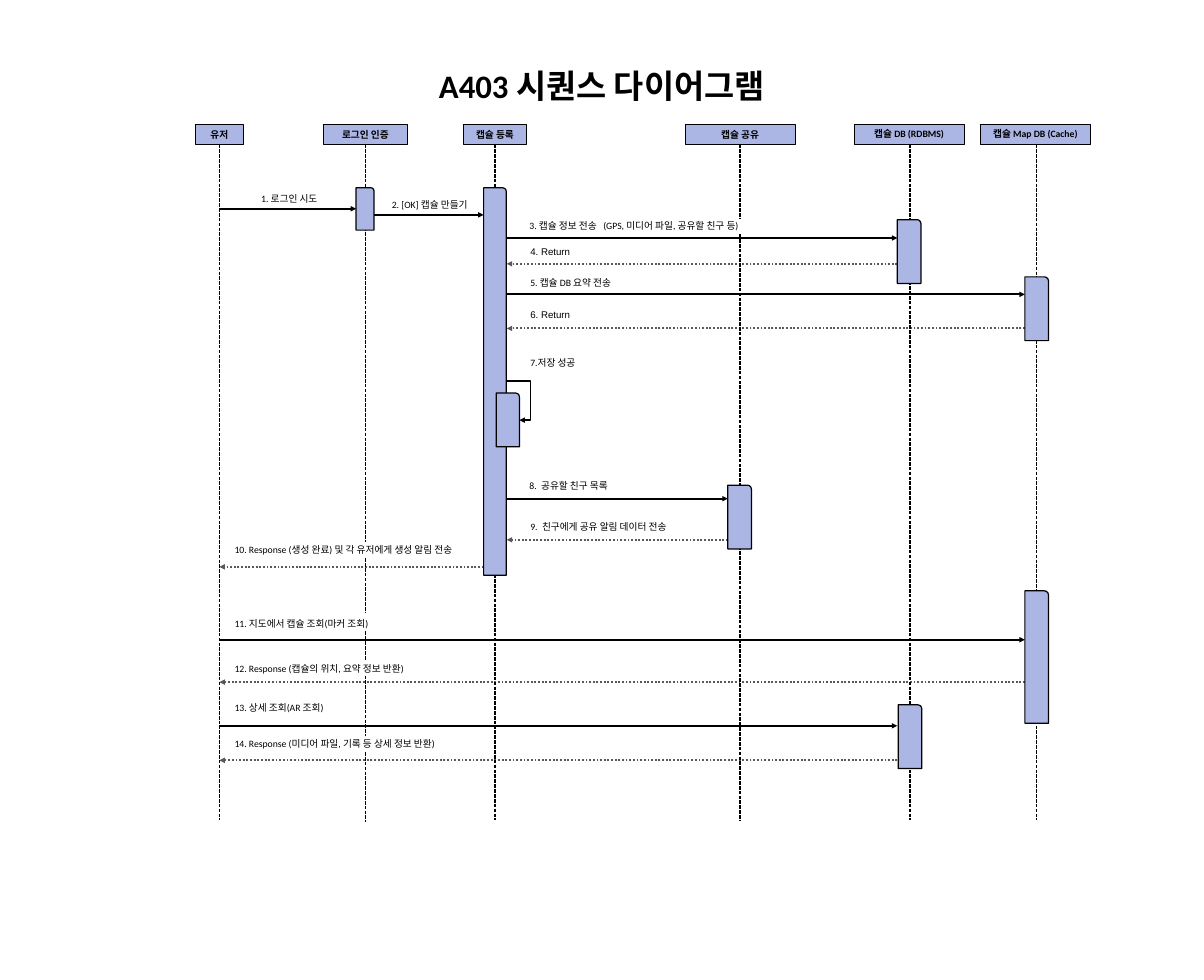
from dataclasses import dataclass

from lxml.etree import SubElement
from pptx import Presentation
from pptx.dml.color import RGBColor
from pptx.enum.dml import MSO_LINE
from pptx.enum.shapes import MSO_CONNECTOR as Link, MSO_SHAPE as Shape
from pptx.enum.text import MSO_ANCHOR as Anchor, PP_ALIGN as Align
from pptx.oxml.ns import qn
from pptx.util import Inches, Pt


@dataclass(frozen=True)
class Theme:
    ink: RGBColor = RGBColor(0, 0, 0)
    reply: RGBColor = RGBColor(0x59, 0x59, 0x59)
    fill: RGBColor = RGBColor(0xAC, 0xB6, 0xE5)
    font: str = "Calibri"
    return_font: str = "Arial"
    title_size: int = 54
    label_size: int = 16
    head_line: float = 1.25
    thin_line: float = 2
    message_line: float = 3


class SequenceDiagram:
    def __init__(self, slide, theme):
        self.slide = slide
        self.theme = theme

    def set_text(self, frame, text, size, font, bold=False, align=Align.LEFT):
        frame.word_wrap = True
        paragraph = frame.paragraphs[0]
        paragraph.text = text
        paragraph.alignment = align
        for run in paragraph.runs:
            run.font.size = Pt(size)
            run.font.name = font
            run.font.bold = bold
            run.font.color.rgb = self.theme.ink

    def text(self, text, left, top, width, height, size, font, **style):
        box = self.slide.shapes.add_textbox(
            Inches(left), Inches(top), Inches(width), Inches(height))
        self.set_text(box.text_frame, text, size, font, **style)

    def title(self, text):
        self.text(text, 6.92, 1.46, 13.71, 1.01, self.theme.title_size,
                  self.theme.font, bold=True, align=Align.CENTER)

    def label(self, text, left, top, width):
        is_return = text.endswith(". Return")
        font = self.theme.return_font if is_return else self.theme.font
        self.text(text, left, top, width, 0.37, self.theme.label_size, font)

    def block(self, kind, left, top, width, height, line_width):
        block = self.slide.shapes.add_shape(
            kind, Inches(left), Inches(top), Inches(width), Inches(height))
        block.shadow.inherit = False
        block.fill.solid()
        block.fill.fore_color.rgb = self.theme.fill
        block.line.color.rgb = self.theme.ink
        block.line.width = Pt(line_width)
        return block

    def participant(self, name, left, top, width):
        head = self.block(Shape.RECTANGLE, left, top, width, 0.46, self.theme.head_line)
        head.text_frame.vertical_anchor = Anchor.MIDDLE
        self.set_text(head.text_frame, name, self.theme.label_size, self.theme.font,
                      bold=True, align=Align.CENTER)

    def activation(self, left, top, width, height):
        self.block(Shape.ROUND_1_RECTANGLE, left, top, width, height,
                   self.theme.thin_line)

    def line(self, start, end, color, width, dash=None, arrow=False, kind=Link.STRAIGHT):
        line = self.slide.shapes.add_connector(
            kind, *(Inches(value) for value in (*start, *end)))
        line.line.color.rgb = color
        line.line.width = Pt(width)
        if dash:
            line.line.dash_style = dash
        properties = line._element.spPr
        if arrow:
            SubElement(properties.find(qn("a:ln")), qn("a:tailEnd"), type="triangle")
        SubElement(properties, qn("a:effectLst"))
        return line

    def lifeline(self, x, top, bottom):
        self.line((x, top), (x, bottom), self.theme.ink, self.theme.thin_line,
                  MSO_LINE.SQUARE_DOT)

    def message(self, start_x, end_x, y):
        """Draw a call as a solid arrow to the right, a reply as a dotted one to the left."""
        is_reply = end_x < start_x
        self.line((start_x, y), (end_x, y),
                  self.theme.reply if is_reply else self.theme.ink,
                  self.theme.message_line,
                  MSO_LINE.ROUND_DOT if is_reply else None, arrow=True)

    def self_message(self, start, end, bend):
        """Draw a call back to the same participant; bend is the turn in 1/1000 % of the width."""
        arrow = self.line(start, end, self.theme.ink, self.theme.message_line,
                          arrow=True, kind=Link.ELBOW)
        geometry = arrow._element.spPr.find(qn("a:prstGeom"))
        adjustments = geometry.find(qn("a:avLst"))
        SubElement(adjustments, qn("a:gd"), name="adj1", fmla=f"val {bend}")


HEAD_BOTTOM, LIFE_END = 3.31, 18.78
USER, LOGIN, REGISTER, SHARE, CAPSULE_DB, MAP_DB = 5.02, 8.36, 11.33, 16.94, 20.83, 23.73
LOGIN_IN, LOGIN_OUT = 8.15, 8.56
REGISTER_IN, REGISTER_OUT = 11.07, 11.6
SHARE_IN, CAPSULE_IN, MAP_IN = 16.66, 20.54, 23.46
USER_LABEL, REGISTER_LABEL = 5.27, 12.04

PARTICIPANTS = [  # name, left, top, width
    ("유저", 4.47, 2.85, 1.1),
    ("로그인 인증", 7.4, 2.85, 1.93),
    ("캡슐 등록", 10.61, 2.85, 1.44),
    ("캡슐 공유", 15.68, 2.85, 2.52),
    ("캡슐 DB (RDBMS)", 19.55, 2.84, 2.52),
    ("캡슐 Map DB (Cache)", 22.44, 2.84, 2.52),
]

MESSAGES = [  # label, label left, label top, label width, start x, end x, y
    ("1. 로그인 시도", 5.88, 4.36, 1.78, USER, LOGIN_IN, 4.78),
    ("2. [OK] 캡슐 만들기", 8.87, 4.5, 2.34, LOGIN_OUT, REGISTER_IN, 4.92),
    ("3. 캡슐 정보 전송   (GPS, 미디어 파일, 공유할 친구 등)",
     12.02, 4.99, 5.74, REGISTER_OUT, CAPSULE_IN, 5.45),
    ("4. Return", REGISTER_LABEL, 5.59, 2.87, CAPSULE_IN, REGISTER_OUT, 6.04),
    ("5. 캡슐 DB 요약 전송", REGISTER_LABEL, 6.28, 2.34, REGISTER_OUT, MAP_IN, 6.74),
    ("6. Return", REGISTER_LABEL, 7.03, 2.87, MAP_IN, REGISTER_OUT, 7.52),
    ("8.  공유할 친구 목록", 12.02, 10.94, 2.87, REGISTER_OUT, SHARE_IN, 11.42),
    ("9.  친구에게 공유 알림 데이터 전송",
     REGISTER_LABEL, 11.87, 4.47, SHARE_IN, REGISTER_OUT, 12.36),
    ("10. Response (생성 완료) 및 각 유저에게 생성 알림 전송",
     USER_LABEL, 12.41, 5.74, REGISTER_IN, USER, 12.98),
    ("11. 지도에서 캡슐 조회(마커 조회)", USER_LABEL, 14.09, 3.93, USER, MAP_IN, 14.65),
    ("12. Response (캡슐의 위치, 요약 정보 반환)",
     USER_LABEL, 15.13, 9.72, MAP_IN, USER, 15.62),
    ("13. 상세 조회(AR 조회)", USER_LABEL, 16.01, 3.93, USER, CAPSULE_IN, 16.62),
    ("14. Response (미디어 파일, 기록 등 상세 정보 반환)",
     USER_LABEL, 16.85, 9.72, CAPSULE_IN, USER, 17.41),
]

LIFELINES = {  # x: stretches from top to bottom, broken where a label crosses
    USER: [(HEAD_BOTTOM, LIFE_END)],
    LOGIN: [(HEAD_BOTTOM, 12.41), (12.78, 14.02), (14.46, 15.13),
            (15.47, 16.85), (17.22, 18.82)],
    REGISTER: [(HEAD_BOTTOM, LIFE_END)],
    SHARE: [(HEAD_BOTTOM, 4.99), (5.36, LIFE_END)],
    CAPSULE_DB: [(HEAD_BOTTOM, LIFE_END)],
    MAP_DB: [(HEAD_BOTTOM, LIFE_END)],
}

ACTIVATIONS = [  # left, top, width, height
    (LOGIN_IN, 4.3, 0.41, 0.97),
    (REGISTER_IN, 4.3, 0.52, 8.87),
    (11.36, 9, 0.53, 1.23),
    (SHARE_IN, 11.11, 0.54, 1.46),
    (CAPSULE_IN, 5.03, 0.54, 1.46),
    (20.56, 16.14, 0.54, 1.46),
    (MAP_IN, 6.34, 0.54, 1.46),
    (MAP_IN, 13.53, 0.54, 3.03),
]


def main():
    deck = Presentation()
    deck.slide_width, deck.slide_height = Inches(27.56), Inches(22.44)
    diagram = SequenceDiagram(deck.slides.add_slide(deck.slide_layouts[6]), Theme())

    diagram.title("A403 시퀀스 다이어그램")
    for participant in PARTICIPANTS:
        diagram.participant(*participant)
    for label, left, top, width, start_x, end_x, y in MESSAGES:
        diagram.message(start_x, end_x, y)
        diagram.label(label, left, top, width)
    diagram.label("7.저장 성공", REGISTER_LABEL, 8.11, 1.36)
    diagram.self_message((11.59, 8.73), (11.89, 9.62), 184100)
    for x, stretches in LIFELINES.items():
        for top, bottom in stretches:
            diagram.lifeline(x, top, bottom)
    for activation in ACTIVATIONS:
        diagram.activation(*activation)

    deck.save("out.pptx")


if __name__ == "__main__":
    main()
